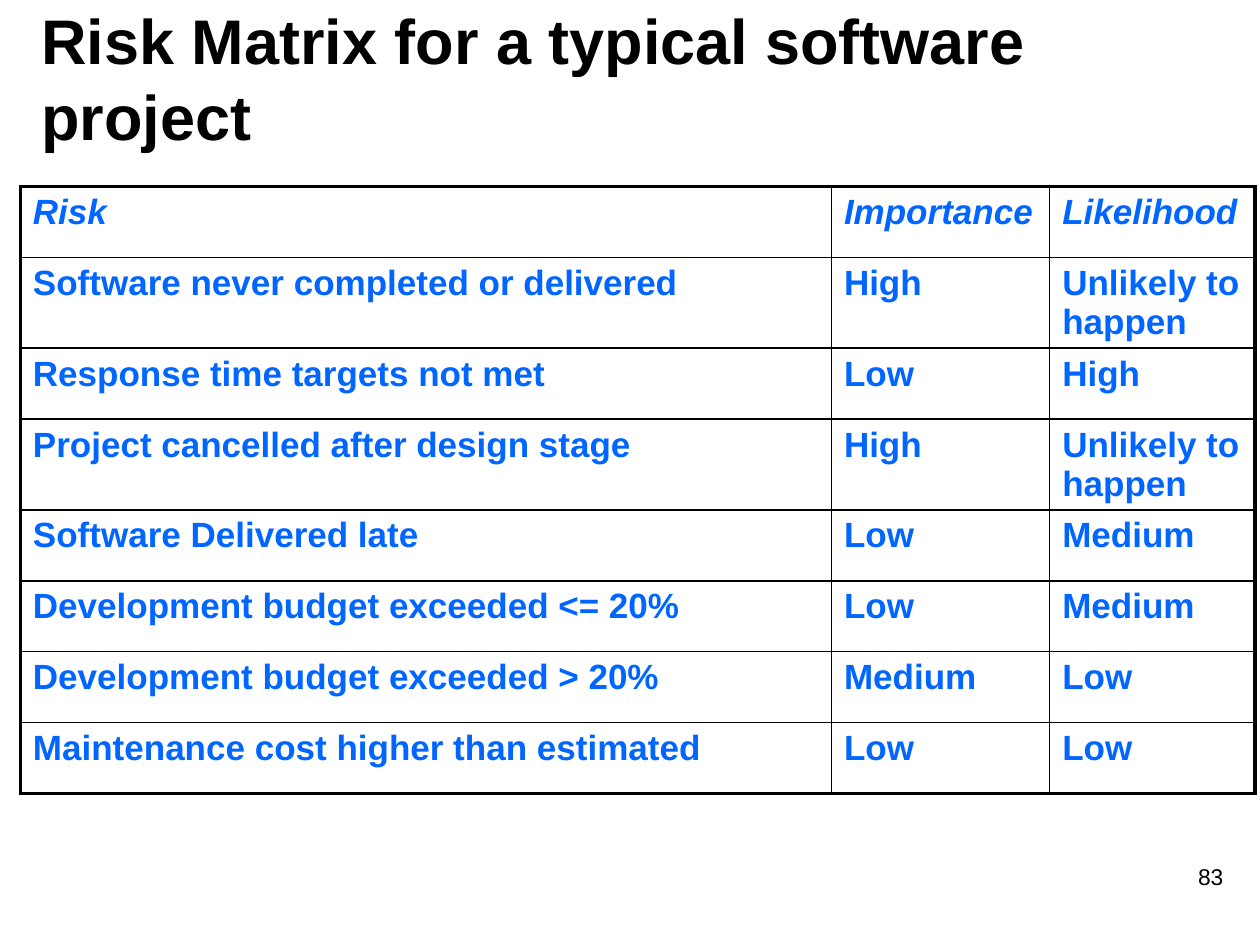
"""Build the risk matrix slide for a typical software project."""
from dataclasses import astuple, dataclass

from lxml import etree
from pptx import Presentation
from pptx.dml.color import RGBColor
from pptx.enum.text import MSO_ANCHOR, PP_ALIGN
from pptx.oxml.ns import qn
from pptx.slide import Slide
from pptx.table import _Cell
from pptx.text.text import _Paragraph
from pptx.util import Cm, Pt

MIDDLE = MSO_ANCHOR.MIDDLE
LEFT, RIGHT = PP_ALIGN.LEFT, PP_ALIGN.RIGHT
COLORS = {"text": "000000", "table": "0066FF", "border": "000000"}
FONT = "Arial"
THICK, THIN = 2.25, 1
COLUMN_WIDTHS = (16.35, 4.4, 4.14)
ROW_HEIGHT = 1.43


@dataclass
class Risk:
    name: str
    importance: str
    likelihood: str


RISKS = [
    Risk("Risk", "Importance", "Likelihood"),
    Risk("Software never completed or delivered", "High", "Unlikely to happen"),
    Risk("Response time targets not met", "Low", "High"),
    Risk("Project cancelled after design stage", "High", "Unlikely to happen"),
    Risk("Software Delivered late", "Low", "Medium"),
    Risk("Development budget exceeded <= 20%", "Low", "Medium"),
    Risk("Development budget exceeded > 20%", "Medium", "Low"),
    Risk("Maintenance cost higher than estimated", "Low", "Low"),
]


def style(para: _Paragraph, size: int, color: str, bold: bool = False, italic: bool = False) -> None:
    font = para.font
    font.name, font.size, font.bold, font.italic = FONT, Pt(size), bold, italic
    font.color.rgb = RGBColor.from_string(COLORS[color])


def add_border(cell: _Cell, side: str, points: float) -> None:
    properties = cell._tc.get_or_add_tcPr()
    line = etree.SubElement(properties, qn(f"a:ln{side}"), w=str(Pt(points)))
    fill = etree.SubElement(line, qn("a:solidFill"))
    etree.SubElement(fill, qn("a:srgbClr"), val=COLORS["border"])


def add_title(page: Slide, text: str) -> None:
    title = page.shapes.title
    title.left, title.top, title.width, title.height = Cm(0.58), Cm(0.38), Cm(20.4), Cm(2.36)
    frame = title.text_frame
    frame.text = text
    frame.word_wrap = True
    frame.vertical_anchor = MIDDLE
    para = frame.paragraphs[0]
    para.alignment = LEFT
    style(para, 36, "text", bold=True)


def add_matrix(page: Slide, risks: list[Risk]) -> None:
    last_row, last_column = len(risks) - 1, len(COLUMN_WIDTHS) - 1
    table = page.shapes.add_table(
        len(risks), len(COLUMN_WIDTHS), Cm(0.41), Cm(3.76),
        Cm(sum(COLUMN_WIDTHS)), Cm(ROW_HEIGHT * len(risks)),
    ).table
    for column, width in zip(table.columns, COLUMN_WIDTHS):
        column.width = Cm(width)
    for row, risk in enumerate(risks):
        table.rows[row].height = Cm(ROW_HEIGHT)
        for column, text in enumerate(astuple(risk)):
            cell = table.cell(row, column)
            cell.text = text
            style(cell.text_frame.paragraphs[0], 20, "table", bold=True, italic=row == 0)
            outer_sides = {
                "L": column == 0, "R": column == last_column,
                "T": row == 0, "B": row == last_row,
            }
            for side, outer in outer_sides.items():
                add_border(cell, side, THICK if outer else THIN)
            cell.fill.background()


def add_page_number(page: Slide, number: str) -> None:
    box = page.shapes.add_textbox(Cm(19.63), Cm(17.27), Cm(5.28), Cm(1.27))
    box.text_frame.word_wrap = True
    para = box.text_frame.paragraphs[0]
    para.text = number
    para.alignment = RIGHT
    style(para, 13, "text")


def main() -> None:
    deck = Presentation()
    deck.slide_width, deck.slide_height = Cm(25.4), Cm(19.05)
    page = deck.slides.add_slide(deck.slide_layouts[5])
    add_title(page, "Risk Matrix for a typical software project")
    add_matrix(page, RISKS)
    add_page_number(page, "83")
    deck.save("out.pptx")


if __name__ == "__main__":
    main()
